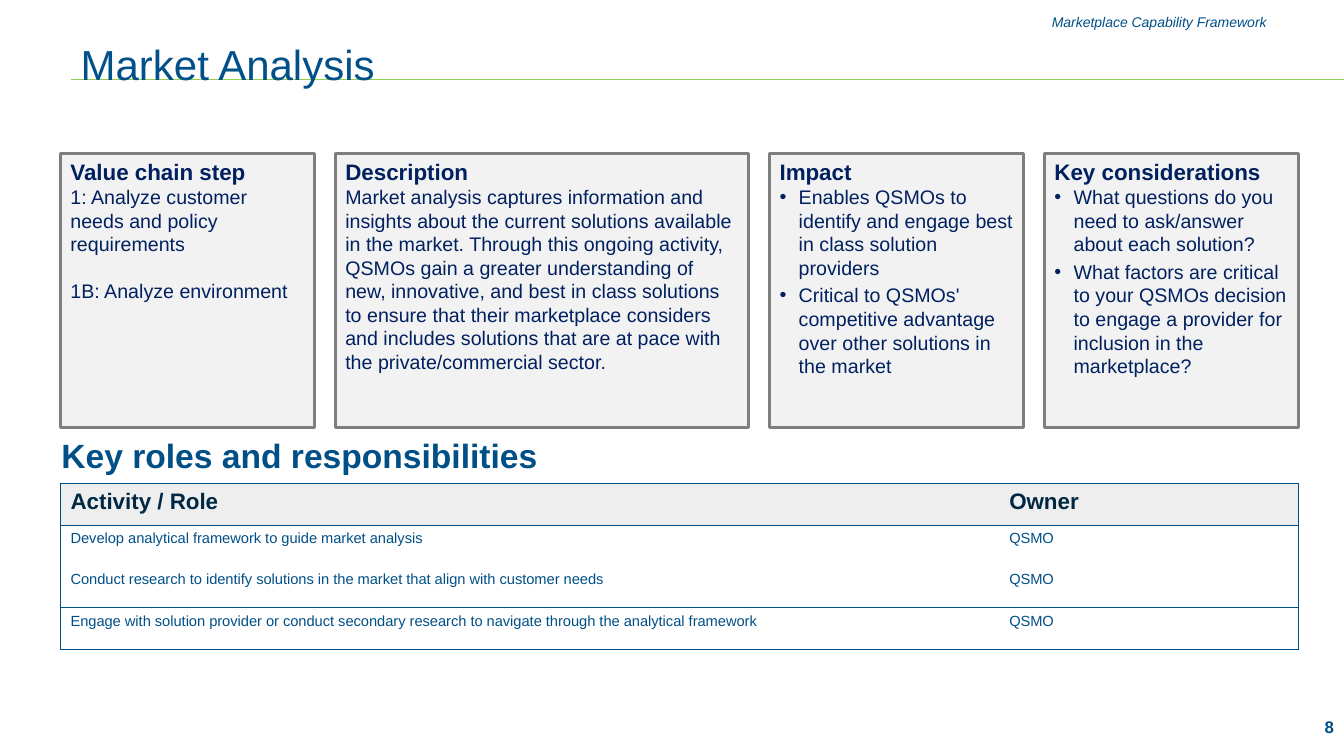
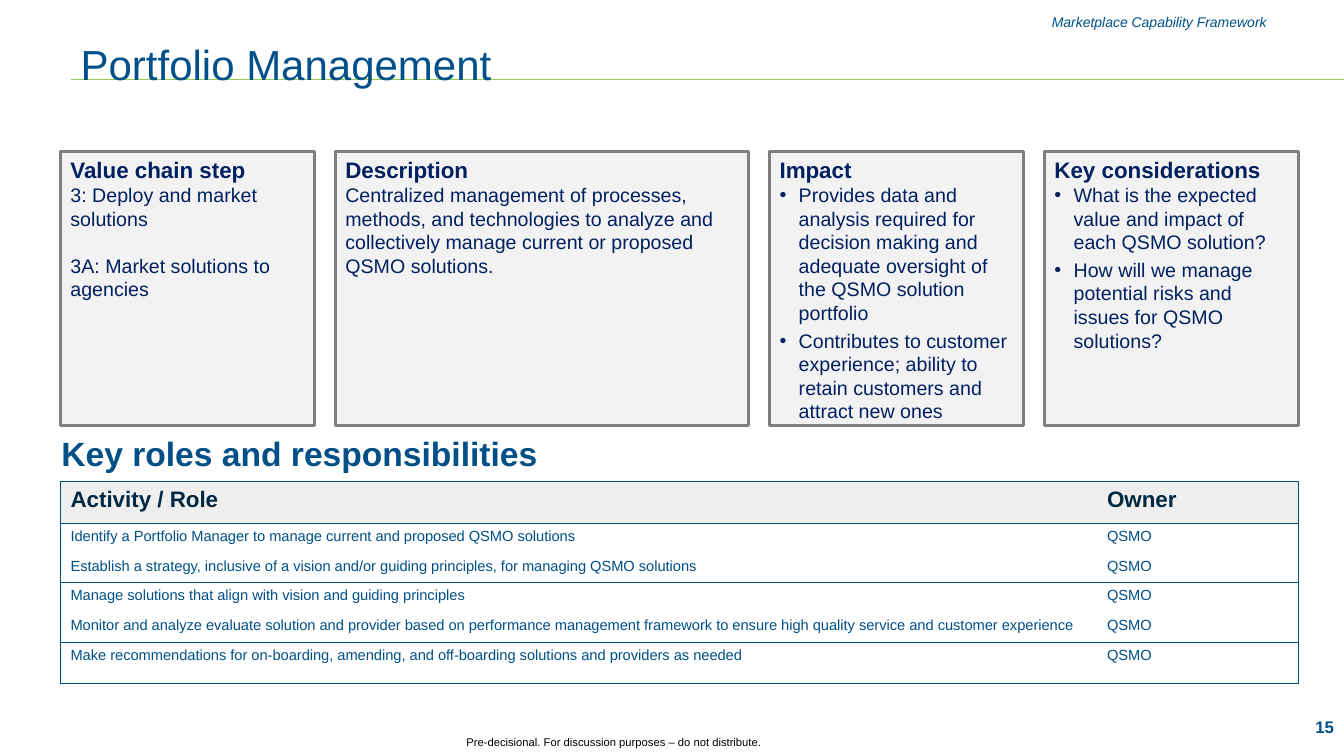
"""Build the two capability slides of the marketplace framework."""
import dataclasses

import lxml.etree
import pptx
import pptx.dml.color
import pptx.enum.shapes
import pptx.enum.text
import pptx.oxml.ns
import pptx.util

Inches = pptx.util.Inches
Pt = pptx.util.Pt
Align = pptx.enum.text.PP_ALIGN
Anchor = pptx.enum.text.MSO_ANCHOR


@dataclasses.dataclass(frozen=True)
class Theme:
    font: str = "Arial"
    title: str = "015089"
    accent: str = "005087"
    rule: str = "92D050"
    card_text: str = "002060"
    card_fill: str = "F2F2F2"
    card_line: str = "7F7F7F"
    header_text: str = "002843"
    header_fill: str = "EEEEEE"
    black: str = "000000"
    title_size: float = 30
    section_size: float = 24
    heading_size: float = 16
    body_size: float = 14
    page_size: float = 12
    cell_size: float = 10.5
    label_size: float = 10
    footer_size: float = 8


def rgb(color):
    return pptx.dml.color.RGBColor.from_string(color)


def add_child(parent, tag, **attributes):
    return lxml.etree.SubElement(parent, pptx.oxml.ns.qn(tag), attributes)


def write(paragraph, text, *, size, color, font=Theme.font, bold=False, italic=False,
          align=Align.LEFT, before=0, bullet=False):
    paragraph.alignment = align
    paragraph.space_before = Pt(before)
    run = paragraph.add_run()
    run.text = text
    run.font.name = font
    run.font.size = Pt(size)
    run.font.bold = bold
    run.font.italic = italic
    run.font.color.rgb = rgb(color)
    if bullet:
        properties = paragraph._p.get_or_add_pPr()
        indent = Inches(0.19)
        properties.set("marL", str(indent))
        properties.set("indent", str(-indent))
        add_child(add_child(properties, "a:buClr"), "a:srgbClr", val=color)
        add_child(properties, "a:buFont", typeface=font)
        add_child(properties, "a:buChar", char="•")


class Deck:
    left, width = 0.6, 12.28
    card_widths = (2.52, 4.1, 2.52, 2.52)
    card_height = 2.72

    def __init__(self, theme):
        self.theme = theme
        self.presentation = pptx.Presentation()
        self.presentation.slide_width = Inches(13.33)
        self.presentation.slide_height = Inches(7.5)
        self.slide = None

    def start_slide(self, title, page):
        theme = self.theme
        layout = self.presentation.slide_layouts.get_by_name("Title Only")
        self.slide = self.presentation.slides.add_slide(layout)
        self.rule(0.7, 13.33, 0.79)
        self.label("Marketplace Capability Framework", (8.83, 0.08, 3.83, 0.28),
                   anchor=Anchor.MIDDLE, size=theme.label_size, color=theme.accent,
                   italic=True, align=Align.RIGHT)
        self.title(title)
        self.label(str(page), (12.53, 6.84, 0.8, 0.57), anchor=Anchor.BOTTOM, inset=0.1,
                   size=theme.page_size, color=theme.accent, bold=True, align=Align.RIGHT)

    def frame(self, shape, anchor=Anchor.TOP, inset=0.05):
        frame = shape.text_frame
        frame.word_wrap = True
        frame.auto_size = pptx.enum.text.MSO_AUTO_SIZE.NONE
        frame.vertical_anchor = anchor
        frame.margin_left = frame.margin_right = Inches(0.1)
        frame.margin_top = frame.margin_bottom = Inches(inset)
        return frame

    def rule(self, start, end, top):
        line = self.slide.shapes.add_connector(
            pptx.enum.shapes.MSO_CONNECTOR.STRAIGHT,
            Inches(start), Inches(top), Inches(end), Inches(top))
        line.line.color.rgb = rgb(self.theme.rule)
        line.line.width = Pt(0.75)
        add_child(line._element.spPr, "a:effectLst")

    def title(self, text):
        shape = self.slide.shapes.title
        shape.left, shape.top = Inches(0.7), Inches(0.16)
        shape.width, shape.height = Inches(11.96), Inches(0.94)
        shape.element.getparent().append(shape.element)
        write(self.frame(shape, Anchor.MIDDLE).paragraphs[0], text,
              size=self.theme.title_size, color=self.theme.title)

    def label(self, text, box, *, anchor=Anchor.TOP, inset=0.05, **style):
        shape = self.slide.shapes.add_textbox(*map(Inches, box))
        write(self.frame(shape, anchor, inset).paragraphs[0], text, **style)

    def card(self, heading, lines, box, *, bullet, gap):
        theme = self.theme
        shape = self.slide.shapes.add_shape(
            pptx.enum.shapes.MSO_SHAPE.RECTANGLE, *map(Inches, box))
        shape.shadow.inherit = False
        shape.fill.solid()
        shape.fill.fore_color.rgb = rgb(theme.card_fill)
        shape.line.color.rgb = rgb(theme.card_line)
        shape.line.width = Pt(2)
        frame = self.frame(shape)
        write(frame.paragraphs[0], heading, size=theme.heading_size,
              color=theme.card_text, bold=True)
        for index, line in enumerate(lines):
            write(frame.add_paragraph(), line, size=theme.body_size, color=theme.card_text,
                  bullet=bullet, before=gap if index else 0)

    def cards(self, top, steps, description, impacts, considerations):
        contents = (
            ("Value chain step", steps, False, 16.8),
            ("Description", [description], False, 0),
            ("Impact", impacts, True, 3),
            ("Key considerations", considerations, True, 3),
        )
        spacing = (self.width - sum(self.card_widths)) / (len(contents) - 1)
        left = self.left
        for (heading, lines, bullet, gap), width in zip(contents, self.card_widths):
            self.card(heading, lines, (left, top, width, self.card_height),
                      bullet=bullet, gap=gap)
            left += width + spacing

    def borders(self, cell, **sides):
        properties = cell._tc.get_or_add_tcPr()
        for side, visible in sides.items():
            line = add_child(properties, f"a:ln{side}", w=str(Pt(0.75)))
            if visible:
                fill = add_child(line, "a:solidFill")
                add_child(fill, "a:srgbClr", val=self.theme.accent)
            else:
                add_child(line, "a:noFill")

    def roles_table(self, top, activities, owner_width, row_heights):
        theme = self.theme
        rows = [("Activity / Role", "Owner")] + [(activity, "QSMO") for activity in activities]
        table = self.slide.shapes.add_table(
            len(rows), 2, Inches(self.left), Inches(top),
            Inches(self.width), Inches(sum(row_heights))).table
        table.first_row = table.horz_banding = False
        for column, width in zip(table.columns, (self.width - owner_width, owner_width)):
            column.width = Inches(width)
        for index, (texts, height) in enumerate(zip(rows, row_heights)):
            table.rows[index].height = Inches(height)
            header = index == 0
            for column, text in enumerate(texts):
                cell = table.cell(index, column)
                self.borders(cell, L=column == 0, R=column == 1,
                             T=header or index % 2 == 1,
                             B=index % 2 == 0 or index == len(rows) - 1)
                if header:
                    cell.fill.solid()
                    cell.fill.fore_color.rgb = rgb(theme.header_fill)
                else:
                    cell.fill.background()
                write(cell.text_frame.paragraphs[0], text, bold=header,
                      size=theme.heading_size if header else theme.cell_size,
                      color=theme.header_text if header else theme.accent)

    def roles(self, top, activities, owner_width, row_heights):
        self.label("Key roles and responsibilities", (0.51, top, 4.94, 0.5),
                   size=self.theme.section_size, color=self.theme.accent, bold=True)
        self.roles_table(top + 0.53, activities, owner_width, row_heights)


def main():
    theme = Theme()
    deck = Deck(theme)

    deck.start_slide("Market Analysis", 8)
    deck.cards(
        1.52,
        ["1: Analyze customer needs and policy requirements", "1B: Analyze environment"],
        "Market analysis captures information and insights about the current solutions "
        "available in the market. Through this ongoing activity, QSMOs gain a greater "
        "understanding of new, innovative, and best in class solutions to ensure that their "
        "marketplace considers and includes solutions that are at pace with the "
        "private/commercial sector.",
        ["Enables QSMOs to identify and engage best in class solution providers",
         "Critical to QSMOs' competitive advantage over other solutions in the market"],
        ["What questions do you need to ask/answer about each solution?",
         "What factors are critical to your QSMOs decision to engage a provider for "
         "inclusion in the marketplace?"])
    deck.roles(
        4.27,
        ["Develop analytical framework to guide market analysis",
         "Conduct research to identify solutions in the market that align with customer needs",
         "Engage with solution provider or conduct secondary research to navigate through "
         "the analytical framework"],
        2.97, [0.41] * 4)

    deck.start_slide("Portfolio Management", 15)
    deck.cards(
        1.5,
        ["3: Deploy and market solutions", "3A: Market solutions to agencies"],
        "Centralized management of processes, methods, and technologies to analyze and "
        "collectively manage current or proposed QSMO solutions.",
        ["Provides data and analysis required for decision making and adequate oversight "
         "of the QSMO solution portfolio",
         "Contributes to customer experience; ability to retain customers and attract new ones"],
        ["What is the expected value and impact of each QSMO solution?",
         "How will we manage potential risks and issues for QSMO solutions?"])
    deck.roles(
        4.25,
        ["Identify a Portfolio Manager to manage current and proposed QSMO solutions",
         "Establish a strategy, inclusive of a vision and/or guiding principles, for managing "
         "QSMO solutions",
         "Manage solutions that align with vision and guiding principles",
         "Monitor and analyze evaluate solution and provider based on performance management "
         "framework to ensure high quality service and customer experience",
         "Make recommendations for on-boarding, amending, and off-boarding solutions and "
         "providers as needed"],
        2, [0.41, 0.3, 0.29, 0.29, 0.3, 0.41])
    deck.label("Pre-decisional. For discussion purposes – do not distribute.",
               (4.21, 7.25, 3.76, 0.24), size=theme.footer_size, color=theme.black,
               align=Align.CENTER)

    deck.presentation.save("out.pptx")


if __name__ == "__main__":
    main()
